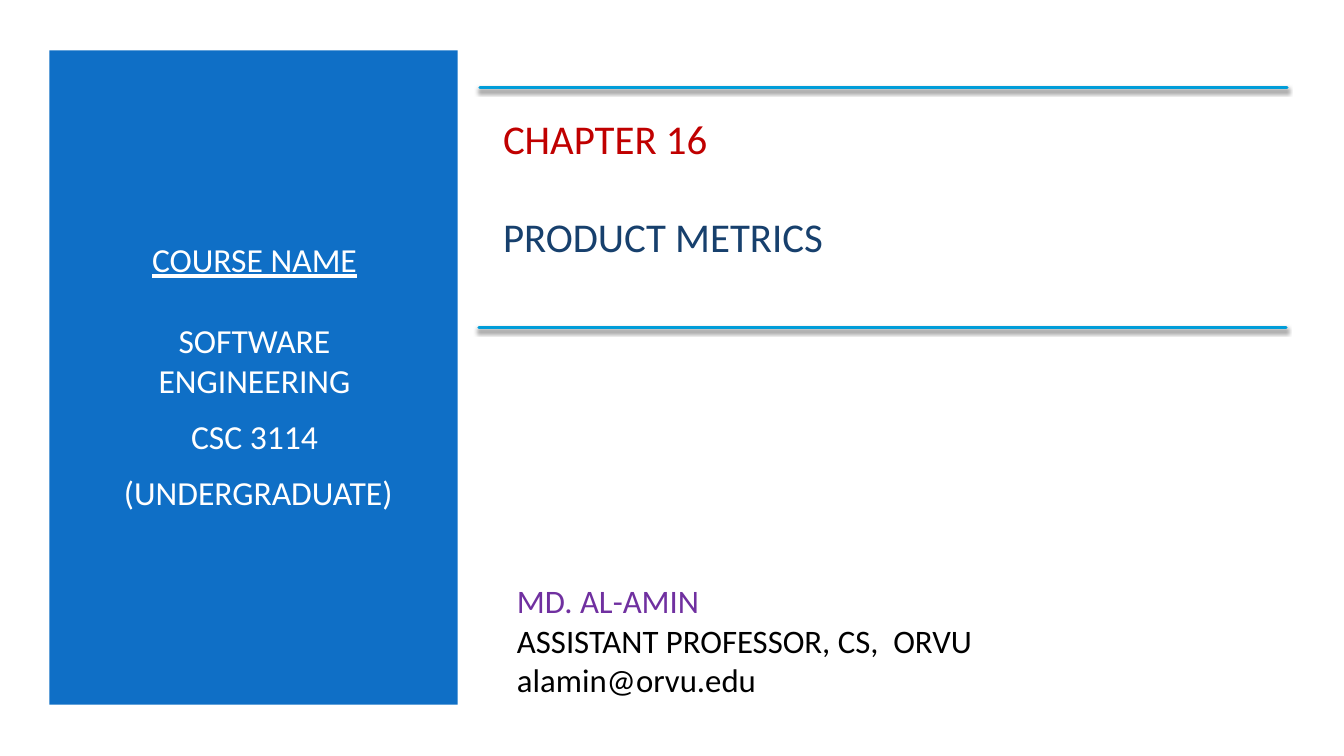
from dataclasses import dataclass

from lxml.etree import SubElement
from pptx import Presentation
from pptx.dml.color import RGBColor
from pptx.enum.shapes import MSO_CONNECTOR, MSO_SHAPE
from pptx.enum.text import MSO_ANCHOR, MSO_AUTO_SIZE, PP_ALIGN
from pptx.oxml.ns import qn
from pptx.util import Pt


@dataclass(frozen=True)
class Theme:
    font: str = "Calibri"
    panel: str = "0F6FC6"
    rule: str = "009DD9"
    chapter: str = "C00000"
    topic: str = "17406D"
    author: str = "7030A0"
    light: str = "FFFFFF"
    dark: str = "000000"
    shadow: str = "000000"
    title_size: float = 29.2
    course_size: float = 24
    author_size: float = 23.4


THEME = Theme()


def set_attributes(target, values):
    for name, value in values.items():
        setattr(target, name, value)


def place(holder, left, top, width, height):
    box = {"left": left, "top": top, "width": width, "height": height}
    set_attributes(holder, {side: Pt(length) for side, length in box.items()})


def write_lines(holder, lines, size, align):
    """Each line is (text, colour, space before, space after, underline)."""
    frame = holder.text_frame
    set_attributes(frame, {
        "word_wrap": True,
        "auto_size": MSO_AUTO_SIZE.NONE,
        "vertical_anchor": MSO_ANCHOR.MIDDLE,
    })
    for index, (text, colour, before, after, underline) in enumerate(lines):
        paragraph = frame.paragraphs[0] if index == 0 else frame.add_paragraph()
        set_attributes(paragraph, {
            "alignment": align,
            "space_before": Pt(before),
            "space_after": Pt(after),
            "line_spacing": 1.0,
        })
        run = paragraph.add_run()
        run.text = text
        set_attributes(run.font, {
            "name": THEME.font,
            "size": Pt(size),
            "bold": False,
            "underline": underline,
        })
        run.font.color.rgb = RGBColor.from_string(colour)


def add_panel(slide, left, top, width, height):
    panel = slide.shapes.add_shape(
        MSO_SHAPE.RECTANGLE, Pt(left), Pt(top), Pt(width), Pt(height))
    panel.shadow.inherit = False
    panel.fill.solid()
    panel.fill.fore_color.rgb = RGBColor.from_string(THEME.panel)
    panel.line.fill.background()
    # Behind the placeholders
    slide.shapes._spTree.insert(2, panel._element)


def add_rule(slide, left, y, length):
    rule = slide.shapes.add_connector(
        MSO_CONNECTOR.STRAIGHT, Pt(left), Pt(y), Pt(left + length), Pt(y))
    rule.line.color.rgb = RGBColor.from_string(THEME.rule)
    rule.line.width = Pt(2)
    properties = rule._element.spPr
    properties.find(qn("a:ln")).set("cap", "rnd")
    # Soft shadow straight below the rule
    effects = SubElement(properties, qn("a:effectLst"))
    shadow = SubElement(effects, qn("a:outerShdw"), {
        "blurRad": str(Pt(3)), "dist": str(Pt(2)), "dir": "5400000",
        "algn": "ctr", "rotWithShape": "0"})
    colour = SubElement(shadow, qn("a:srgbClr"), val=THEME.shadow)
    SubElement(colour, qn("a:alpha"), val="55000")


def main():
    deck = Presentation()
    set_attributes(deck, {"slide_width": Pt(960), "slide_height": Pt(540)})
    slide = deck.slides.add_slide(deck.slide_layouts[0])

    # Course panel
    add_panel(slide, 35.3, 36, 291.6, 467.3)
    course = slide.placeholders[1]
    place(course, 60.5, 79.2, 242.6, 378)
    write_lines(course, [
        ("COURSE NAME", THEME.light, 5, 6, True),
        ("SOFTWARE ENGINEERING", THEME.light, 23, 6, False),
        ("CSC 3114", THEME.light, 5, 6, False),
        (" (UNDERGRADUATE)", THEME.light, 5, 6, False),
    ], THEME.course_size, PP_ALIGN.CENTER)

    # Chapter title between two rules
    chapter = slide.shapes.title
    place(chapter, 352.1, 79.2, 565.2, 108.7)
    write_lines(chapter, [
        ("CHAPTER 16", THEME.chapter, 0, 0, False),
        ("PRODUCT METRICS", THEME.topic, 35, 0, False),
    ], THEME.title_size, PP_ALIGN.LEFT)
    for left, y in ((342.7, 62.6), (342, 234)):
        add_rule(slide, left, y, 576.7)

    # Author
    author = slide.shapes.add_textbox(Pt(362.2), Pt(401), Pt(479.5), Pt(112.3))
    write_lines(author, [
        ("MD. AL-AMIN", THEME.author, 0, 0, False),
        ("ASSISTANT PROFESSOR, CS,  ORVU", THEME.dark, 0, 0, False),
        ("alamin@orvu.edu", THEME.dark, 0, 0, False),
    ], THEME.author_size, PP_ALIGN.LEFT)

    deck.save("out.pptx")


if __name__ == "__main__":
    main()
